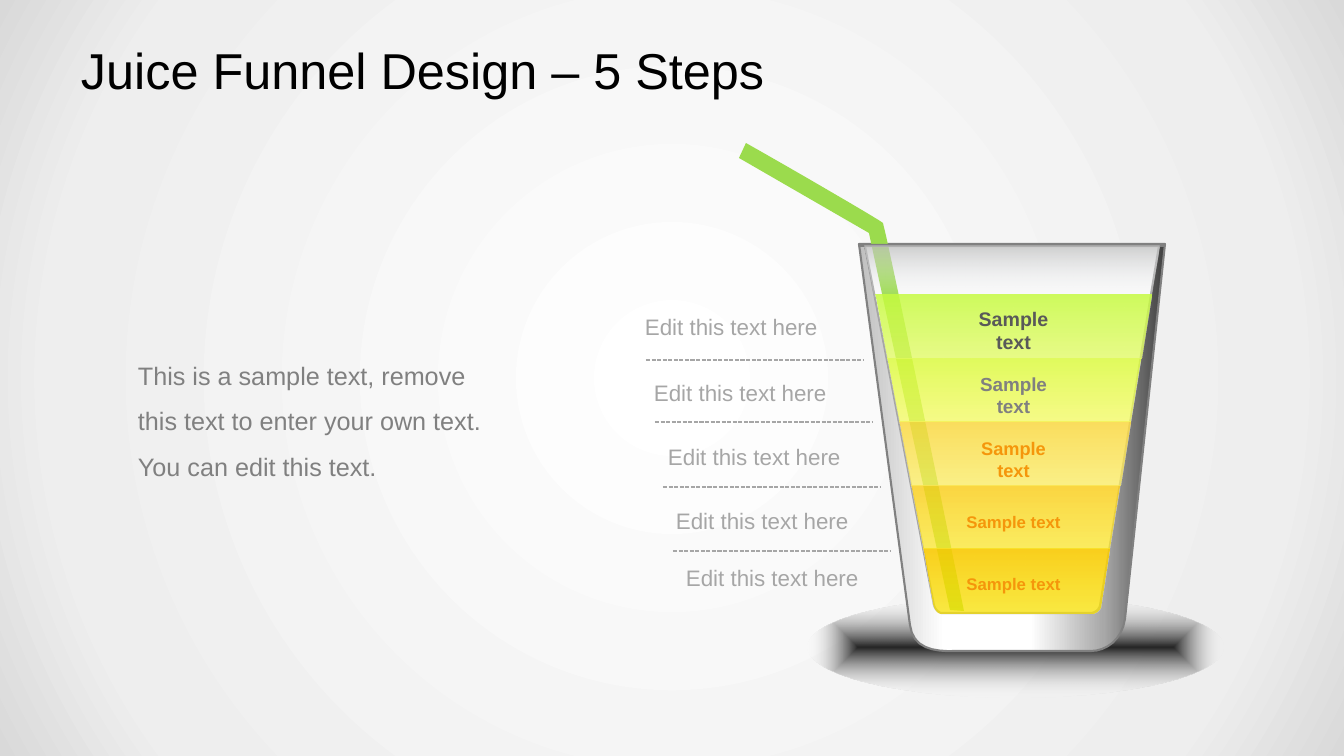
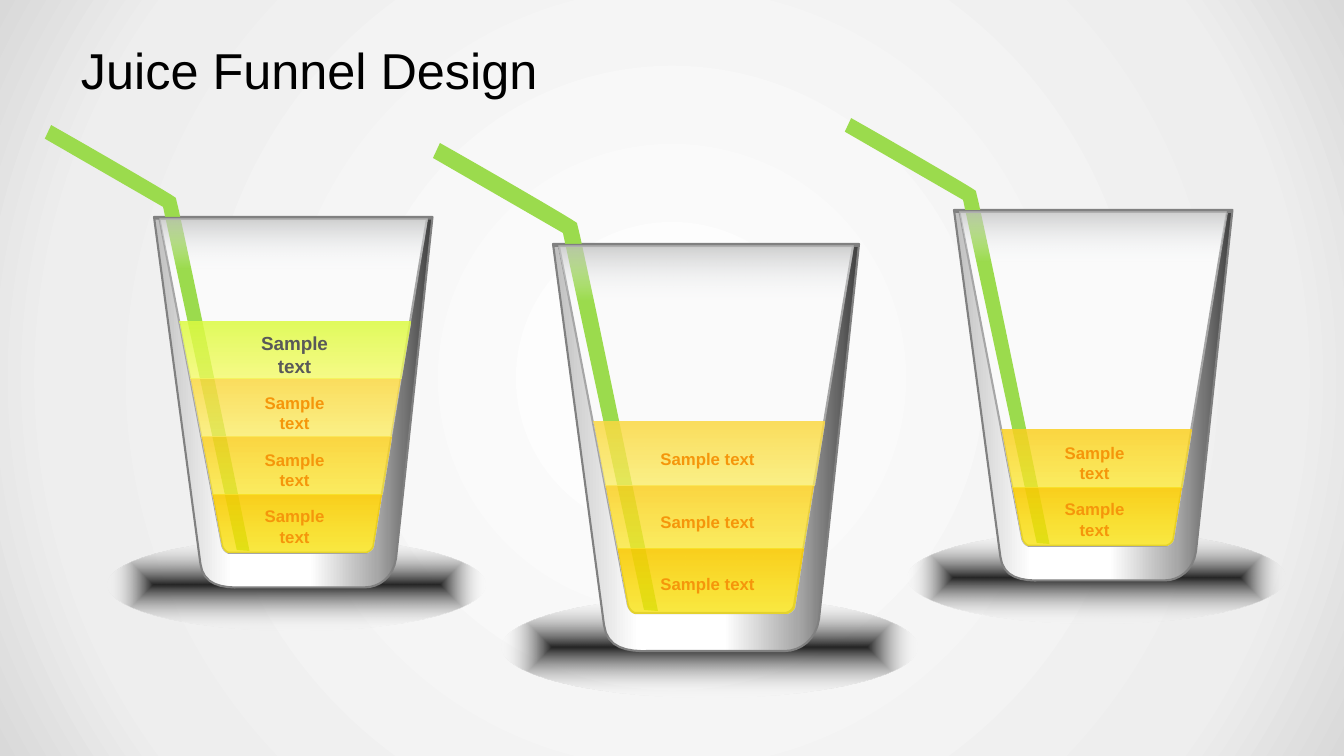
from lxml import etree
from pptx import Presentation
from pptx.dml.color import RGBColor
from pptx.enum.dml import MSO_LINE
from pptx.enum.shapes import MSO_CONNECTOR, MSO_SHAPE
from pptx.enum.text import MSO_ANCHOR, PP_ALIGN
from pptx.oxml.ns import qn
from pptx.util import Pt

PX = 9071.43  # EMU in one pixel
FONT = "Arial"
LEFT, CENTER = PP_ALIGN.LEFT, PP_ALIGN.CENTER
MIDDLE = MSO_ANCHOR.MIDDLE
OVAL, ROUNDED = MSO_SHAPE.OVAL, MSO_SHAPE.ROUNDED_RECTANGLE
STRAIGHT, DASH = MSO_CONNECTOR.STRAIGHT, MSO_LINE.SQUARE_DOT

BLACK = RGBColor(0x00, 0x00, 0x00)
WHITE = RGBColor(0xFF, 0xFF, 0xFF)
MIST = RGBColor(0xEE, 0xEE, 0xEE)
FOG = RGBColor(0xD9, 0xD9, 0xD9)
SILVER = RGBColor(0xBF, 0xBF, 0xBF)
STEEL = RGBColor(0xA8, 0xA8, 0xA8)
LIGHT_GRAY = RGBColor(0xA6, 0xA6, 0xA6)
GRAY = RGBColor(0x80, 0x80, 0x80)
DARK_GRAY = RGBColor(0x59, 0x59, 0x59)
CHARCOAL = RGBColor(0x40, 0x40, 0x40)
SHADOW = RGBColor(0x26, 0x26, 0x26)
INSIDE = RGBColor(0xFA, 0xFA, 0xFA)
SHEEN = RGBColor(0xF6, 0xF9, 0xFC)
STRAW = RGBColor(0x9B, 0xDB, 0x4D)
ORANGE = RGBColor(0xF5, 0x96, 0x0B)
# Juice layers from top to bottom: lower colour, upper colour, upper opacity
JUICES = [
    (RGBColor(0xE2, 0xFC, 0x60), RGBColor(0xC7, 0xFC, 0x42), 85),
    (RGBColor(0xF5, 0xFC, 0x60), RGBColor(0xDD, 0xFC, 0x42), 85),
    (RGBColor(0xFC, 0xED, 0x60), RGBColor(0xFC, 0xD9, 0x42), 85),
    (RGBColor(0xFB, 0xE7, 0x2D), RGBColor(0xFB, 0xD1, 0x21), 85),
    (RGBColor(0xFA, 0xE3, 0x06), RGBColor(0xFA, 0xCC, 0x06), 91),
]

# Glass outlines from the rim's left end; a point of six numbers is a Bezier curve
BODY = [(0, 0), (306, 0), (266, 375), (263, 396, 247, 407, 232, 407),
        (97, 407), (74, 408, 54, 404, 51, 381)]
BASE = [(75, 361), (76, 365, 79, 368, 82, 369), (233, 369),
        (236, 368, 239, 367, 241, 362)]
INTERIOR = [(6, 2), *BASE, (300, 2)]
STRAW_SHAPE = [(91, 366), (10, -11), (-120, -86), (-113, -101),
               (-67, -75, 21, -24, 24, -21), (26, -17, 79, 237, 105, 367)]

# Gradients: stops of position, colour and opacity, then an angle or a path name
BACKDROP = ([(0, WHITE, 100), (81, MIST, 100), (100, FOG, 100)], "circle")
SHADOW_FADE = ([(0, SHADOW, 100), (100, WHITE, 0)], "shape")
GLASS_FADE = ([(0, CHARCOAL, 100), (20, STEEL, 100), (44, WHITE, 100),
               (72, WHITE, 100), (100, SILVER, 100)], 180)
SHEEN_FADE = ([(85, SHEEN, 0), (100, SILVER, 75)], 270)

# Parts from back to front: outline or (preset, x, y, width, height), fill, line
PARTS = [
    ((OVAL, -51, 353, 415, 101), SHADOW_FADE, None),
    (BODY, GLASS_FADE, GRAY),
    (INTERIOR, INSIDE, LIGHT_GRAY),
    (STRAW_SHAPE, STRAW, None),
    ((ROUNDED, 0, 0, 306, 3), GRAY, None),
    (INTERIOR, SHEEN_FADE, None),
]
LAYERS = []
for i, (low, high, opacity) in enumerate(JUICES):
    edges = [(16 + 12.2 * j, 292 - 10.5 * j, 51 + 63.5 * j) for j in (i, i + 1)]
    (left, right, top), (low_left, low_right, bottom) = edges
    outline = [(right, top), (low_right, bottom), (low_left, bottom), (left, top)]
    if i == len(JUICES) - 1:
        outline = [(left, top), *BASE, (right, top)]
    LAYERS.append((outline, ([(0, low, 75), (100, high, opacity)], 270), None))
LABEL_Y = [86, 151, 215, 278, 340]

# Each slide: title and glasses (x, y, scale, label formats from top to bottom)
SMALL = (12, ORANGE)
SLIDES = [
    ("Juice Funnel Design – 5 Steps",
     [(859, 244, 1, [(14, DARK_GRAY), (13.5, GRAY), (13, ORANGE), SMALL, SMALL])]),
    ("Juice Funnel Design",
     [(154, 217, 0.91, [(13.5, DARK_GRAY), SMALL, SMALL, SMALL]),
      (553, 244, 1, [SMALL] * 3),
      (954, 210, 0.91, [SMALL] * 2)]),
]
NOTES = [(635, 302), (644, 368), (658, 432), (666, 496), (676, 553)]
RULES = [(646, 360), (655, 422), (663, 487), (673, 551)]


def paint(parent, stops, direction):
    """Replace the solid fill in parent by a gradient."""
    grad = etree.Element(qn("a:gradFill"), rotWithShape="1")
    stop_list = etree.SubElement(grad, qn("a:gsLst"))
    for position, color, opacity in stops:
        stop = etree.SubElement(stop_list, qn("a:gs"), pos=str(position * 1000))
        rgb = etree.SubElement(stop, qn("a:srgbClr"), val=str(color))
        if opacity < 100:
            etree.SubElement(rgb, qn("a:alpha"), val=str(opacity * 1000))
    if isinstance(direction, str):
        shade = etree.SubElement(grad, qn("a:path"), {"path": direction})
        etree.SubElement(shade, qn("a:fillToRect"), dict.fromkeys("ltrb", "50000"))
    else:
        etree.SubElement(grad, qn("a:lin"), ang=str(direction * 60000), scaled="0")
    parent.replace(parent.find(qn("a:solidFill")), grad)


def add_text(s, text, x, y, w, h, size=16, color=LIGHT_GRAY, bold=False,
             align=LEFT, wrap=True, spacing=1.0, inset=(10, 5)):
    """Add a vertically centred text box, placed in pixels."""
    box = s.shapes.add_textbox(*(round(v * PX) for v in (x, y, w, h)))
    tf = box.text_frame
    tf.word_wrap = wrap
    tf.vertical_anchor = MIDDLE
    tf.margin_left = tf.margin_right = round(inset[0] * PX)
    tf.margin_top = tf.margin_bottom = round(inset[1] * PX)
    p = tf.paragraphs[0]
    p.alignment = align
    p.line_spacing = spacing
    r = p.add_run()
    r.text = text
    r.font.name = FONT
    r.font.size = Pt(size)
    r.font.bold = bold
    r.font.color.rgb = color


prs = Presentation()
prs.slide_width, prs.slide_height = round(1344 * PX), round(756 * PX)
master = prs.slide_master
master.background.fill.solid()
paint(master.element.find(".//" + qn("p:bgPr")), *BACKDROP)

for title, glasses in SLIDES:
    s = prs.slides.add_slide(prs.slide_layouts[6])
    for x, y, scale, labels in glasses:
        unit = scale * PX
        for outline, fill, line in PARTS + LAYERS[:-len(labels) - 1:-1]:
            if isinstance(outline, tuple):
                preset, left, top, w, h = outline
                sp = s.shapes.add_shape(
                    preset, round(x * PX + left * unit), round(y * PX + top * unit),
                    round(w * unit), round(h * unit))
                if preset == ROUNDED:
                    sp.adjustments[0] = 0.5
            else:
                points = []
                for point in outline:
                    if len(point) == 2:
                        points.append(point)
                        continue
                    (x0, y0), (x1, y1, x2, y2, x3, y3) = points[-1], point
                    for t in (n / 8 for n in range(1, 9)):
                        u = 1 - t
                        a, b, c, d = u**3, 3 * u * u * t, 3 * u * t * t, t**3
                        points.append((a * x0 + b * x1 + c * x2 + d * x3,
                                       a * y0 + b * y1 + c * y2 + d * y3))
                points = [(round(x * PX + px * unit), round(y * PX + py * unit))
                          for px, py in points]
                builder = s.shapes.build_freeform(*points[0])
                builder.add_line_segments(points[1:])
                sp = builder.convert_to_shape()
            sp.shadow.inherit = False
            sp.fill.solid()
            if isinstance(fill, RGBColor):
                sp.fill.fore_color.rgb = fill
            else:
                paint(sp.element.spPr, *fill)
            if line:
                sp.line.color.rgb = line
                sp.line.width = Pt(1.5)
            else:
                sp.line.fill.background()
        for (size, color), label_y in zip(labels, LABEL_Y[-len(labels):]):
            add_text(s, "Sample text", x + (154.5 - 58) * scale,
                     y + (label_y - 15) * scale, 116 * scale, 30 * scale, size=size,
                     color=color, bold=True, align=CENTER, wrap=scale < 1)
    add_text(s, title, 68, 30, 1210, 79, size=36, color=BLACK, inset=(13, 7))

steps = prs.slides[0]
add_text(steps, "This is a sample text, remove this text to enter your own text. "
         "You can edit this text.", 128, 321, 367, 184, size=18, color=GRAY, spacing=1.5)
for x, y in NOTES:
    add_text(steps, "Edit this text here", x, y, 232, 50)
for x, y in RULES:
    rule = steps.shapes.add_connector(
        STRAIGHT, *(round(v * PX) for v in (x, y, x + 217, y)))
    rule.line.color.rgb = LIGHT_GRAY
    rule.line.width = Pt(1)
    rule.line.dash_style = DASH
    etree.SubElement(rule.element.spPr, qn("a:effectLst"))

prs.save("out.pptx")
